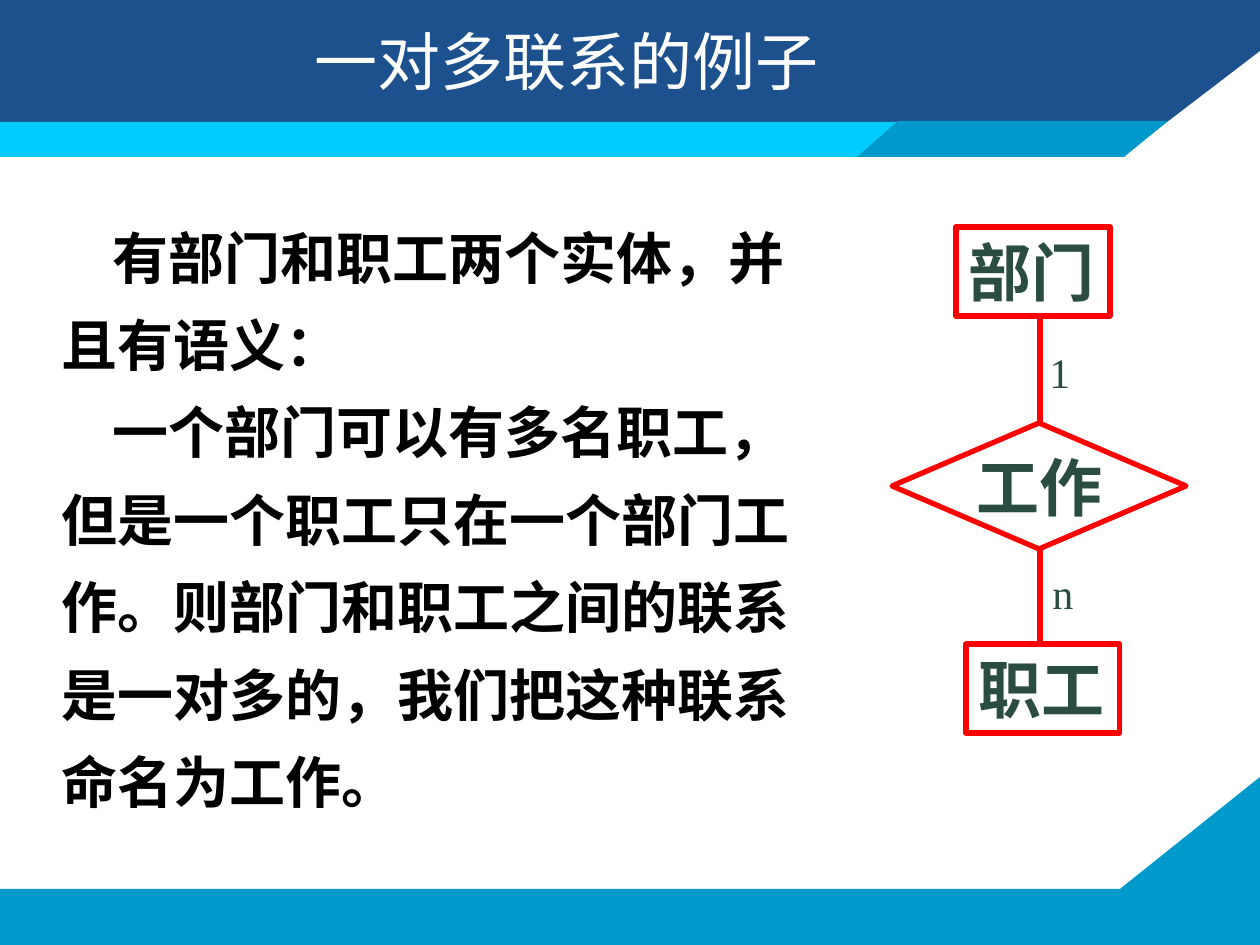
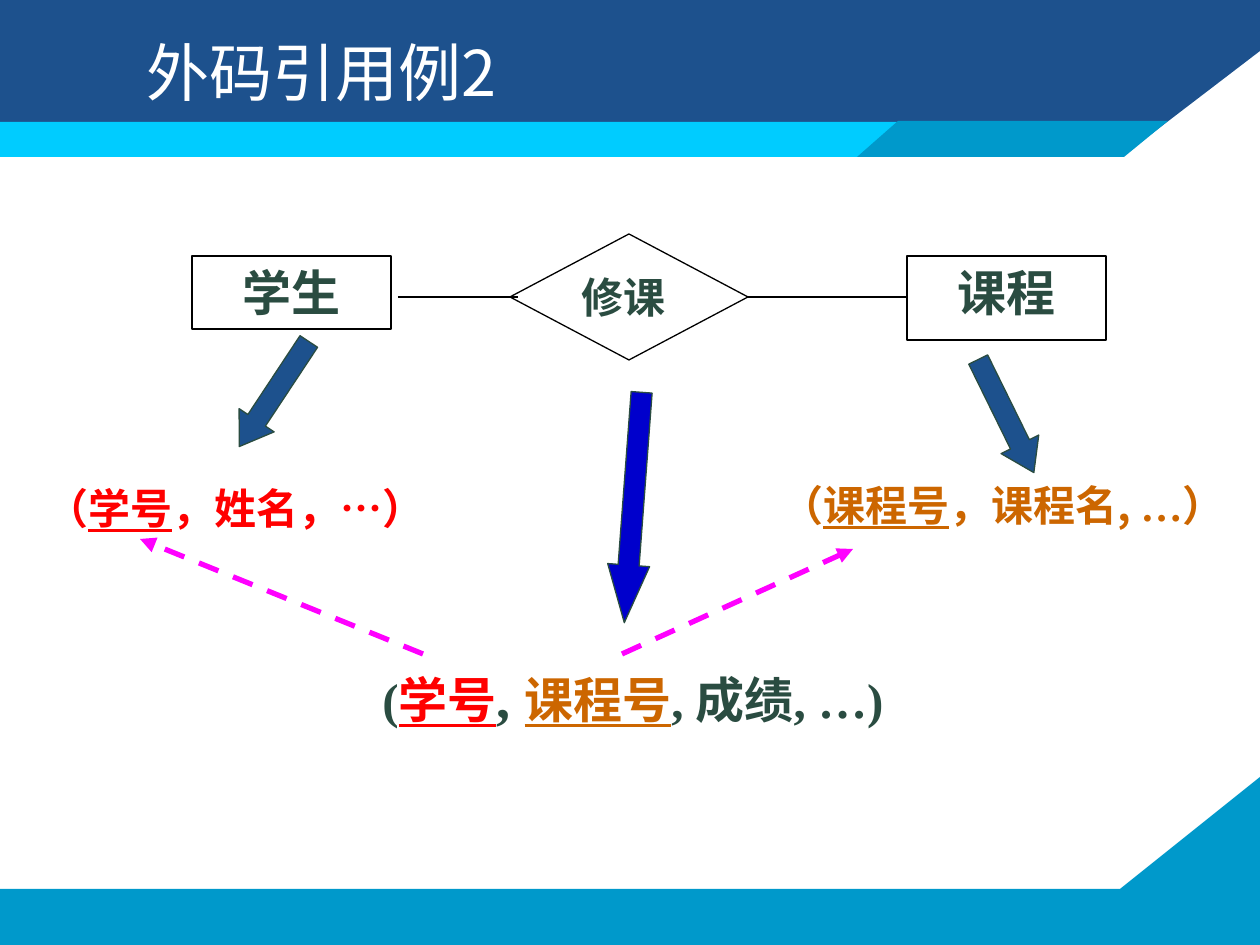
from dataclasses import dataclass, replace

from lxml.etree import SubElement
from pptx import Presentation
from pptx.dml.color import RGBColor
from pptx.enum.dml import MSO_LINE
from pptx.enum.shapes import MSO_CONNECTOR, MSO_SHAPE as SHAPE
from pptx.enum.text import MSO_ANCHOR as ANCHOR, PP_ALIGN as ALIGN
from pptx.oxml.ns import qn
from pptx.util import Pt

# One pixel in EMU (126 px to the inch)
SCALE = 914400 / 126

WHITE = RGBColor(0xFF, 0xFF, 0xFF)
BLACK = RGBColor(0x00, 0x00, 0x00)
NAVY = RGBColor(0x1D, 0x51, 0x8D)
CYAN = RGBColor(0x00, 0xCC, 0xFF)
TEAL = RGBColor(0x00, 0x99, 0xCB)
GREEN = RGBColor(0x2A, 0x4C, 0x41)
RED = RGBColor(0xFF, 0x00, 0x00)
ORANGE = RGBColor(0xCC, 0x66, 0x00)
BLUE = RGBColor(0x00, 0x00, 0xCC)
MAGENTA = RGBColor(0xFF, 0x00, 0xFF)

SANS = "Noto Sans CJK SC"
SANS_KR = "Noto Sans CJK KR"
SERIF = "Times New Roman"


@dataclass(frozen=True)
class Style:
    size: int
    color: RGBColor = GREEN
    face: str = SERIF
    bold: bool = True
    underline: bool = False


TITLE = Style(36, WHITE, SANS, bold=False)
BODY = Style(32, BLACK, SANS)
CARDINALITY = Style(24, bold=False)


def px(length):
    return round(length * SCALE)


def box(*lengths):
    return [px(length) for length in lengths]


# Text
def add_run(paragraph, text, style):
    run = paragraph.add_run()
    run.text = text
    font = run.font
    font.size, font.name = Pt(style.size), style.face
    font.bold, font.underline = style.bold, style.underline
    font.color.rgb = style.color
    east_asian = SANS if style.face == SERIF else style.face
    SubElement(font._element, qn("a:ea")).set("typeface", east_asian)


def write(frame, paragraphs, align=ALIGN.LEFT, anchor=ANCHOR.TOP, wrap=True,
          spacing=None, indent=0):
    """Fill a text frame; each paragraph is a list of (text, style) runs."""
    frame.word_wrap, frame.vertical_anchor = wrap, anchor
    for index, runs in enumerate(paragraphs):
        paragraph = frame.add_paragraph() if index else frame.paragraphs[0]
        paragraph.alignment = align
        if spacing:
            paragraph.line_spacing = spacing
        if indent:
            paragraph._p.get_or_add_pPr().set("indent", str(px(indent)))
        for text, style in runs:
            add_run(paragraph, text, style)


def add_text(slide, place, paragraphs, **layout):
    frame = slide.shapes.add_textbox(*box(*place)).text_frame
    write(frame, paragraphs, **layout)


def add_title(slide, place, text):
    title = slide.shapes.title
    title.left, title.top, title.width, title.height = box(*place)
    write(title.text_frame, [[(text, TITLE)]], anchor=ANCHOR.MIDDLE)


# Shapes and lines
def paint(shape, fill=None, line=None, weight=0.75):
    shape.shadow.inherit = False
    if fill is None:
        shape.fill.background()
    else:
        shape.fill.solid()
        shape.fill.fore_color.rgb = fill
    if line is None:
        shape.line.fill.background()
    else:
        shape.line.color.rgb = line
        shape.line.width = Pt(weight)


def add_polygon(slide, points, fill):
    builder = slide.shapes.build_freeform(*points[0], scale=SCALE)
    builder.add_line_segments(points[1:], close=True)
    polygon = builder.convert_to_shape()
    paint(polygon, fill)
    return polygon


def add_node(slide, kind, place, label, size, fill=None, line=BLACK,
             weight=0.75, **layout):
    node = slide.shapes.add_shape(kind, *box(*place))
    paint(node, fill, line, weight)
    write(node.text_frame, [[(label, Style(size))]], **layout)


def add_block_arrow(slide, place, rotation, head, fill):
    arrow = slide.shapes.add_shape(SHAPE.UP_ARROW, *box(*place))
    arrow.rotation = rotation
    arrow.adjustments[0], arrow.adjustments[1] = 0.5, head
    paint(arrow, fill, GREEN)


def add_line(slide, ends, color=BLACK, weight=0.75, dashed_arrow=False):
    link = slide.shapes.add_connector(MSO_CONNECTOR.STRAIGHT, *box(*ends))
    link.line.color.rgb = color
    link.line.width = Pt(weight)
    if dashed_arrow:
        link.line.dash_style = MSO_LINE.DASH
        outline = link.line._get_or_add_ln()
        SubElement(outline, qn("a:tailEnd")).set("type", "triangle")
    SubElement(link._element.spPr, qn("a:effectLst"))


# Bands shared by both slides, kept on the layout
def move_bands_to_layout(slide):
    footer = add_polygon(slide, [(0, 889), (1120, 889), (1260, 777),
                                 (1260, 945), (0, 945)], TEAL)
    header = add_polygon(slide, [(0, 0), (1260, 0), (1260, 51),
                                 (1124, 155), (0, 156)], NAVY)
    stripe = slide.shapes.add_shape(SHAPE.RECTANGLE, *box(0, 122, 1063, 35))
    paint(stripe, CYAN)
    slant = add_polygon(slide, [(857, 157), (1124, 157), (1168, 121),
                                (898, 121)], TEAL)
    tree = slide.slide_layout.shapes.element
    for position, band in enumerate((footer, header, stripe, slant), start=2):
        tree.insert(position, band.element)


def build_one_to_many(slide):
    add_title(slide, (302, 15, 532, 90), "一对多联系的例子")
    add_text(slide, (49, 197, 759, 630), [
        [("有部门和职工两个实体，并且有语义：", BODY)],
        [("一个部门可以有多名职工，但是一个职工只在一个部门工作。"
          "则部门和职工之间的联系是一对多的，我们把这种联系命名为工作。", BODY)],
    ], spacing=1.3, indent=51)

    # Entity-relationship column
    red_outline = dict(line=RED, weight=3, wrap=False)
    add_node(slide, SHAPE.FLOWCHART_DECISION, (892, 423, 294, 126), "工作", 36,
             align=ALIGN.CENTER, anchor=ANCHOR.MIDDLE, **red_outline)
    for left, top, entity in ((956, 227, "部门"), (966, 644, "职工")):
        add_node(slide, SHAPE.RECTANGLE, (left, top, 154, 89), entity, 36,
                 **red_outline)
    for top, bottom in ((319, 423), (549, 644)):
        add_line(slide, (1040, top, 1040, bottom), RED, 3)
    for left, top, count in ((1037, 340, "1"), (1040, 561, "n")):
        add_text(slide, (left, top, 47, 63), [[(count, CARDINALITY)]],
                 wrap=False)


def add_schema(slide, place, color, key, attributes):
    plain = Style(24, color, SANS_KR)
    add_text(slide, place, [[
        ("（", plain), (key, replace(plain, underline=True)),
        (attributes, plain), ("…", replace(plain, face=SERIF)), ("）", plain),
    ]])


def build_foreign_key(slide):
    add_title(slide, (134, 26, 725, 90), "外码引用例2")

    # Entities and their relationship
    for left, height, entity in ((192, 73, "学生"), (907, 84, "课程")):
        add_node(slide, SHAPE.RECTANGLE, (left, 256, 199, height), entity, 28,
                 fill=WHITE, align=ALIGN.CENTER)
    add_node(slide, SHAPE.DIAMOND, (510, 234, 238, 126), "修课", 24,
             fill=WHITE, align=ALIGN.JUSTIFY)
    for start, end in ((398, 518), (748, 907)):
        add_line(slide, (start, 297, end, 297))

    # Relation schemas
    add_block_arrow(slide, (253, 331, 42, 126), 213.5, 0.75, NAVY)
    add_schema(slide, (34, 476, 441, 63), RED, "学号", "，姓名，")
    add_schema(slide, (769, 473, 484, 63), ORANGE, "课程号", "，课程名, ")
    add_block_arrow(slide, (612, 392, 42, 231), 184.3, 1.375, BLUE)
    plain = Style(28)
    key = Style(28, RED, SANS_KR, underline=True)
    add_text(slide, (370, 656, 630, 79), [[
        ("(", plain), ("学号", key), (", ", Style(32)),
        ("课程号", replace(key, color=ORANGE)), (", 成绩, …)", plain),
    ]])

    # Foreign key references
    for ends in ((423, 654, 140, 539), (622, 654, 853, 549)):
        add_line(slide, ends, MAGENTA, 3, dashed_arrow=True)
    add_block_arrow(slide, (985, 353, 42, 126), 153.8, 0.75, NAVY)


def main():
    deck = Presentation()
    deck.slide_width, deck.slide_height = box(1260, 945)
    title_only = deck.slide_layouts[5]
    one_to_many = deck.slides.add_slide(title_only)
    move_bands_to_layout(one_to_many)
    build_one_to_many(one_to_many)
    build_foreign_key(deck.slides.add_slide(title_only))
    deck.save("out.pptx")


if __name__ == "__main__":
    main()
